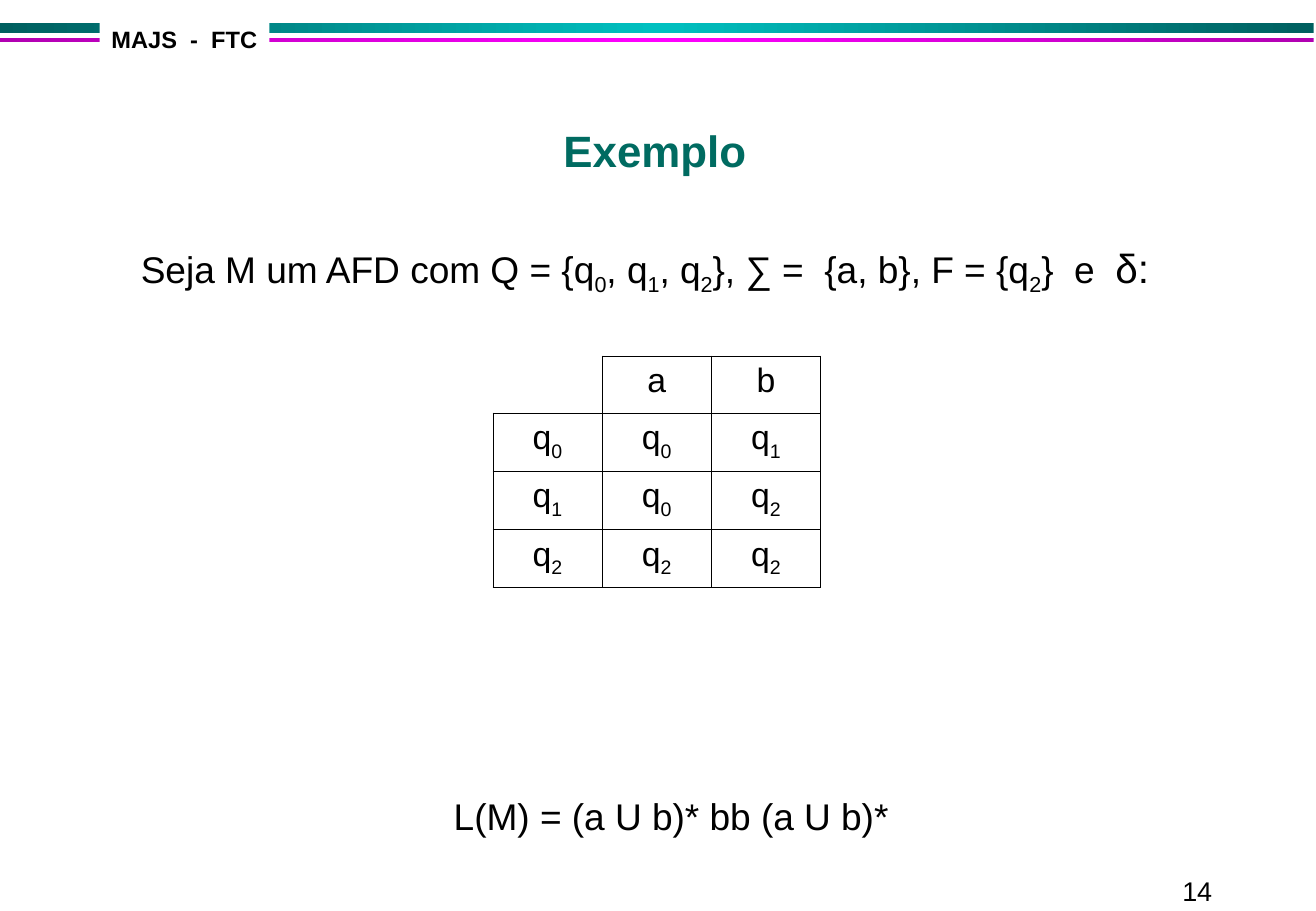
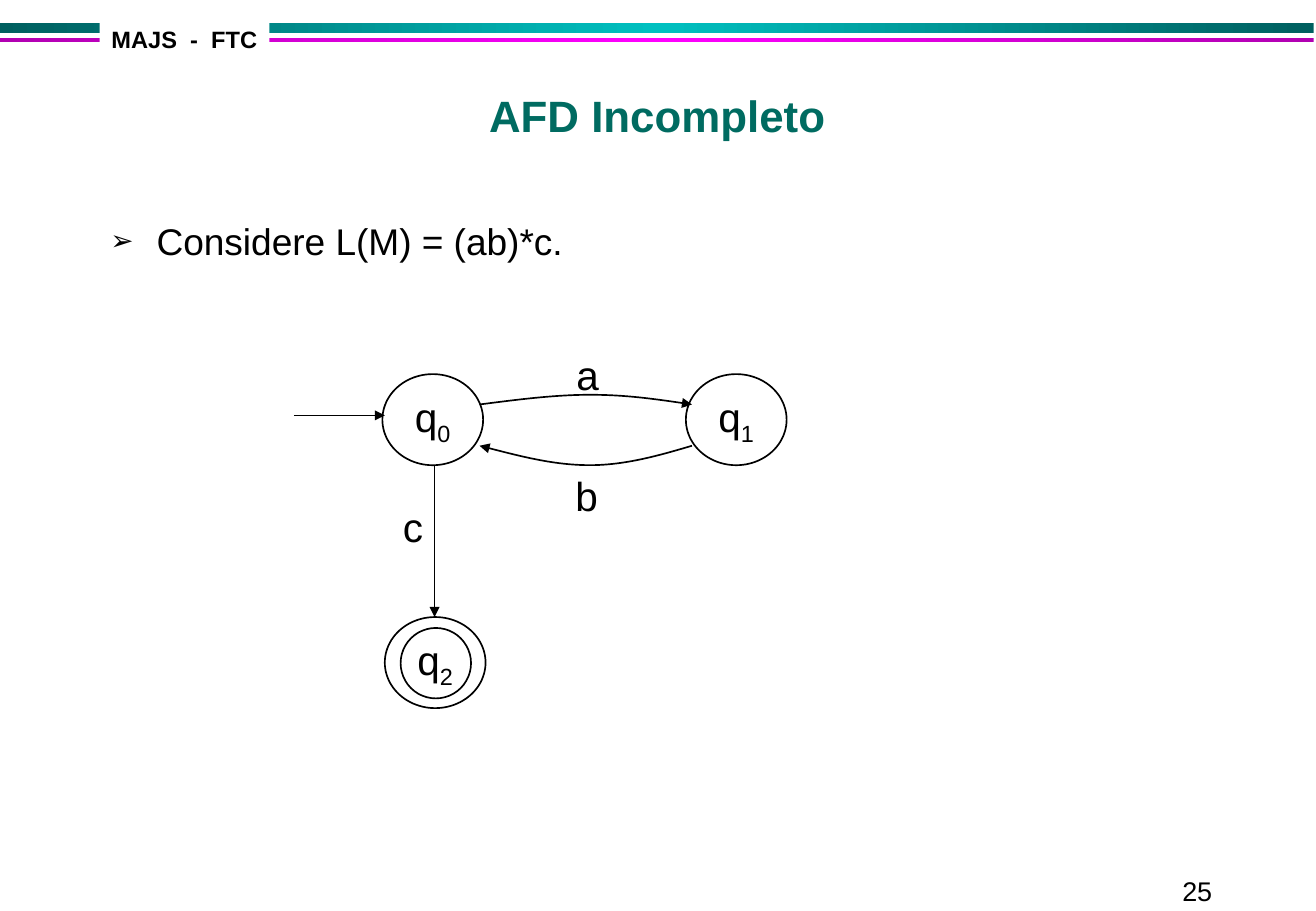
from copy import deepcopy
from dataclasses import dataclass

from pptx import Presentation
from pptx.dml.color import RGBColor
from pptx.enum.shapes import MSO_CONNECTOR, MSO_SHAPE
from pptx.enum.text import MSO_ANCHOR, MSO_AUTO_SIZE, PP_ALIGN
from pptx.oxml.ns import qn
from pptx.oxml.xmlchemy import OxmlElement
from pptx.util import Inches, Pt

FONT = "Arial"
BLACK, WHITE, TEAL = "000000", "FFFFFF", "006B61"
Point = tuple[float, float]


@dataclass(frozen=True)
class Area:
    left: float
    top: float
    width: float
    height: float

    def lengths(self) -> list[int]:
        return [Inches(value) for value in (self.left, self.top, self.width, self.height)]


@dataclass(frozen=True)
class Span:
    text: str
    size: float
    bold: bool = False
    color: str = BLACK
    subscript: bool = False


@dataclass(frozen=True)
class Band:
    area: Area
    edge: str
    middle: str


@dataclass(frozen=True)
class Label:
    text: str
    area: Area
    size: float = 24
    bold: bool = False
    wrap: bool = False
    fill: str | None = None


@dataclass(frozen=True)
class State:
    name: str
    left: float
    top: float
    accepting: bool = False


BANDS = [
    Band(Area(0, 0.19, 10.82, 0.08), "005F5F", "00C0C0"),
    Band(Area(0, 0.31, 10.82, 0.04), "B100B1", "FF00FF"),
]
COURSE = Label("MAJS  -  FTC", Area(0.82, 0.16, 1.4, 0.33), 14, bold=True, fill=WHITE)
PAGE_NUMBER = Area(9.64, 7.15, 1.21, 0.36)

TRANSITIONS = [
    ["", "a", "b"],
    ["q_0", "q_0", "q_1"],
    ["q_1", "q_0", "q_2"],
    ["q_2", "q_2", "q_2"],
]
STATES = [State("q_0", 3.15, 3.08), State("q_1", 5.65, 3.08), State("q_2", 3.17, 5.08, True)]
SYMBOLS = [
    Label("a", Area(4.65, 2.83, 0.38, 0.5)),
    Label("b", Area(4.64, 3.83, 0.38, 0.5)),
    Label("c", Area(3.22, 4.08, 0.36, 0.5)),
]
CURVES = [
    [(3.95, 3.33), (4.26, 3.29), (4.57, 3.25), (4.86, 3.25), (5.15, 3.25), (5.43, 3.29), (5.7, 3.33)],
    [(5.7, 3.67), (5.43, 3.75), (5.15, 3.83), (4.86, 3.83), (4.57, 3.83), (4.26, 3.75), (3.95, 3.67)],
]
ARROWS = [((2.42, 3.42), (3.17, 3.42)), ((3.58, 3.83), (3.58, 5.08))]


def paint(color_format, value: str) -> None:
    color_format.rgb = RGBColor.from_string(value)


def fill_solid(target, value: str) -> None:
    target.fill.solid()
    paint(target.fill.fore_color, value)


def add_child(parent, tag: str, **attributes: str):
    child = OxmlElement(tag)
    for name, value in attributes.items():
        child.set(name, value)
    parent.append(child)
    return child


def spans_from(text: str, size: float) -> list[Span]:
    first, *rest = text.split("_")
    spans = [Span(first, size)]
    for piece in rest:
        spans.append(Span(piece[0], size, subscript=True))
        if piece[1:]:
            spans.append(Span(piece[1:], size))
    return spans


def write(para, spans: list[Span], align=PP_ALIGN.LEFT) -> None:
    para.alignment = align
    para.space_before = Pt(0)
    for item in spans:
        span = para.add_run()
        span.text = item.text
        span.font.name = FONT
        span.font.size = Pt(item.size)
        span.font.bold = item.bold
        paint(span.font.color, item.color)
        if item.subscript:
            span._r.get_or_add_rPr().set("baseline", "-25000")


def set_indent(para, margin: float, first_line: float, bullet: str = "") -> None:
    properties = para._p.get_or_add_pPr()
    properties.set("marL", str(Inches(margin)))
    properties.set("indent", str(Inches(first_line)))
    if not bullet:
        add_child(properties, "a:buNone")
        return
    add_child(add_child(properties, "a:buClr"), "a:srgbClr", val=BLACK)
    add_child(properties, "a:buSzPct", val="75000")
    add_child(properties, "a:buFont", typeface=FONT)
    add_child(properties, "a:buChar", char=bullet)


def place(box, area: Area):
    box.left, box.top, box.width, box.height = area.lengths()
    box.text_frame.word_wrap = True
    box.text_frame.auto_size = MSO_AUTO_SIZE.NONE
    return box.text_frame


def add_title(page, text: str, area: Area) -> None:
    frame = place(page.shapes.title, area)
    frame.vertical_anchor = MSO_ANCHOR.BOTTOM
    write(frame.paragraphs[0], [Span(text, 26, True, TEAL)], PP_ALIGN.CENTER)


def add_body(page, area: Area, top_margin: float):
    frame = place(page.placeholders[1], area)
    frame.vertical_anchor = MSO_ANCHOR.TOP
    frame.margin_top = Inches(top_margin)
    return frame


def add_label(page, label: Label) -> None:
    box = page.shapes.add_textbox(*label.area.lengths())
    if label.fill:
        fill_solid(box, label.fill)
    box.text_frame.word_wrap = label.wrap
    write(box.text_frame.paragraphs[0], [Span(label.text, label.size, label.bold)])


def add_band(page, band: Band) -> None:
    box = page.shapes.add_shape(MSO_SHAPE.RECTANGLE, *band.area.lengths())
    box.shadow.inherit = False
    box.line.fill.background()
    box.fill.gradient()
    box.fill.gradient_angle = 0
    stops = box._element.spPr.find(".//" + qn("a:gsLst"))
    stops.insert(1, deepcopy(stops[0]))
    colors = (band.edge, band.middle, band.edge)
    for stop, position, value in zip(box.fill.gradient_stops, (0, 0.5, 1), colors):
        stop.position = position
        paint(stop.color, value)


def add_page(deck, number: int):
    page = deck.slides.add_slide(deck.slide_layouts[1])
    for band in BANDS:
        add_band(page, band)
    add_label(page, Label(str(number), PAGE_NUMBER, 16, wrap=True))
    add_label(page, COURSE)
    return page


def set_borders(cell, hidden: str) -> None:
    properties = cell._tc.get_or_add_tcPr()
    for side in "LRTB":
        border = add_child(properties, f"a:ln{side}", w=str(Pt(0.45)))
        if side in hidden:
            add_child(border, "a:noFill")
        else:
            add_child(add_child(border, "a:solidFill"), "a:srgbClr", val=BLACK)


def add_transition_table(page, area: Area) -> None:
    rows, columns = len(TRANSITIONS), len(TRANSITIONS[0])
    table = page.shapes.add_table(rows, columns, *area.lengths()).table
    table.first_row = table.horz_banding = False
    for index, row in enumerate(table.rows):
        row.height = Inches(0.48 if index else 0.47)
    for row, texts in enumerate(TRANSITIONS):
        for column, text in enumerate(texts):
            cell = table.cell(row, column)
            set_borders(cell, "" if text else "LT")
            cell.fill.background()
            if text:
                write(cell.text_frame.paragraphs[0], spans_from(text, 20), PP_ALIGN.CENTER)


def outline(shape) -> None:
    paint(shape.line.color, BLACK)
    shape.line.width = Pt(1)


def add_arrowhead(shape) -> None:
    add_child(shape._element.spPr.find(qn("a:ln")), "a:tailEnd", type="triangle")


def add_circle(page, area: Area):
    circle = page.shapes.add_shape(MSO_SHAPE.OVAL, *area.lengths())
    circle.shadow.inherit = False
    circle.fill.background()
    outline(circle)
    return circle


def add_state(page, state: State) -> None:
    if state.accepting:
        add_circle(page, Area(state.left + 0.13, state.top + 0.09, 0.58, 0.58))
    frame = add_circle(page, Area(state.left, state.top, 0.83, 0.75)).text_frame
    frame.word_wrap = False
    frame.vertical_anchor = MSO_ANCHOR.MIDDLE
    write(frame.paragraphs[0], spans_from(state.name, 24), PP_ALIGN.CENTER)


def add_curve(page, points: list[Point]) -> None:
    start, *rest = [(Inches(x), Inches(y)) for x, y in points]
    builder = page.shapes.build_freeform(*start)
    builder.add_line_segments(rest, close=False)
    curve = builder.convert_to_shape()
    curve.shadow.inherit = False
    curve.fill.background()
    outline(curve)
    add_arrowhead(curve)
    route = curve._element.spPr.find(".//" + qn("a:path"))
    segments = route.findall(qn("a:lnTo"))
    for first in range(0, len(segments), 3):
        bezier = add_child(route, "a:cubicBezTo")
        for segment in segments[first:first + 3]:
            bezier.append(segment[0])
            route.remove(segment)


def add_arrow(page, start: Point, end: Point) -> None:
    ends = [Inches(value) for value in (*start, *end)]
    arrow = page.shapes.add_connector(MSO_CONNECTOR.STRAIGHT, *ends)
    outline(arrow)
    add_arrowhead(arrow)
    add_child(arrow._element.spPr, "a:effectLst")


def build_example(deck) -> None:
    page = add_page(deck, 14)
    add_title(page, "Exemplo", Area(0.79, 0.81, 9.21, 0.69))
    frame = add_body(page, Area(0.81, 1.92, 9.44, 4.68), 0.08)
    definition = "Seja M um AFD com Q = {q_0, q_1, q_2}, ∑ =  {a, b}, F = {q_2}  e  "
    para = frame.paragraphs[0]
    write(para, spans_from(definition, 22) + [Span("δ:", 24)])
    set_indent(para, 0.38, -0.13)
    para = frame.add_paragraph()
    write(para, spans_from("L(M) = (a U b)* bb (a U b)*", 22), PP_ALIGN.CENTER)
    para.space_before = Pt(294)
    set_indent(para, 0, 0)
    add_transition_table(page, Area(4.06, 2.93, 2.7, 1.91))


def build_incomplete(deck) -> None:
    page = add_page(deck, 25)
    add_title(page, "AFD Incompleto", Area(0.81, 0.75, 9.21, 0.46))
    para = add_body(page, Area(0.81, 1.5, 9.21, 5.48), 0.3).paragraphs[0]
    write(para, spans_from("Considere L(M) = (ab)*c.", 22))
    set_indent(para, 0.38, -0.38, "➢")
    for state in STATES:
        add_state(page, state)
    for points in CURVES:
        add_curve(page, points)
    for symbol in SYMBOLS:
        add_label(page, symbol)
    for start, end in ARROWS:
        add_arrow(page, start, end)


deck = Presentation()
deck.slide_width, deck.slide_height = Inches(10.84), Inches(7.5)
build_example(deck)
build_incomplete(deck)
deck.save("out.pptx")
